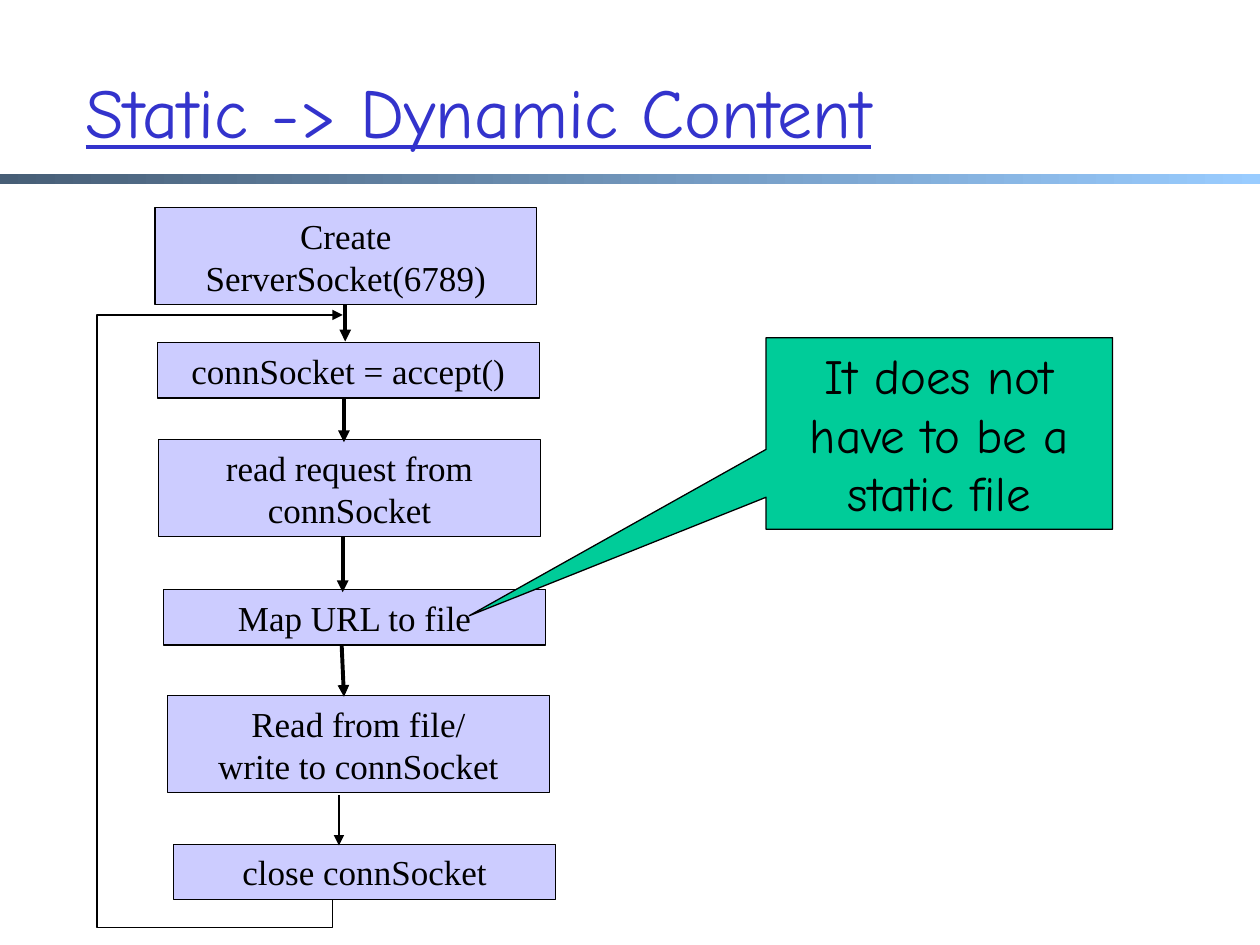
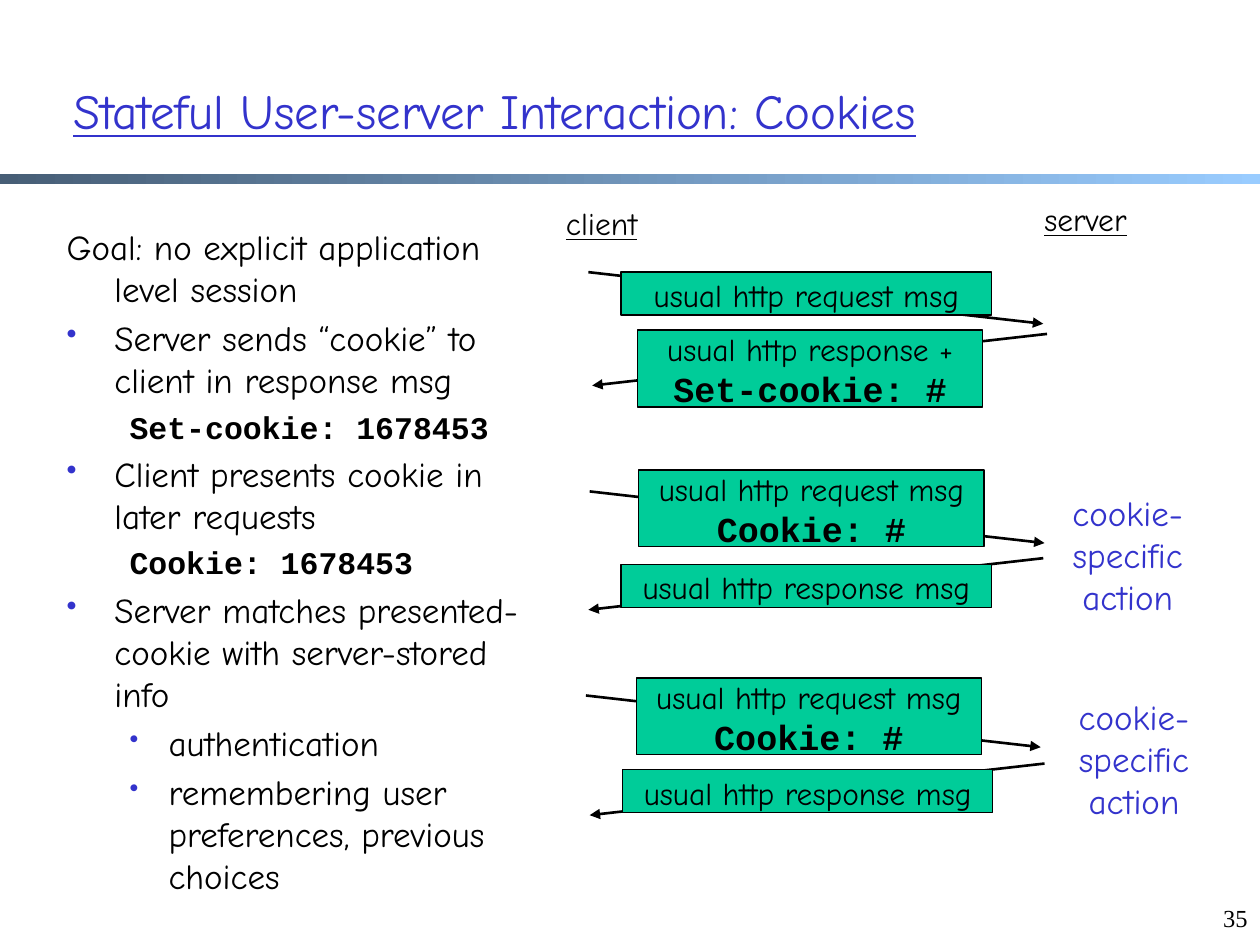
import pptx
import pptx.dml.color
import pptx.enum.shapes
import pptx.enum.text
import pptx.oxml
import pptx.oxml.ns
import pptx.util

SHAPE = pptx.enum.shapes.MSO_SHAPE
ALIGN = pptx.enum.text.PP_ALIGN
MID = pptx.enum.text.MSO_ANCHOR.MIDDLE
TOP = pptx.enum.text.MSO_ANCHOR.TOP
FIT = pptx.enum.text.MSO_AUTO_SIZE.SHAPE_TO_FIT_TEXT
INK, BLUE, LILAC, GREEN = "000000", "3333CC", "CCCCFF", "00CC99"
COMIC, MONO, SERIF = "Comic Neue", "Courier New", "Times New Roman"
COLS, ROWS = 100, 75
WIDTH, HEIGHT = pptx.util.Inches(10), pptx.util.Inches(7.5)


def rgb(code):
    return pptx.dml.color.RGBColor.from_string(code)


def cells(*nums):
    return [pptx.util.Emu(round(n * WIDTH / COLS)) for n in nums]


def add_xml(node, tag, **attrs):
    child = pptx.oxml.parse_xml(f'<a:{tag} {pptx.oxml.ns.nsdecls("a")}/>')
    for name, value in attrs.items():
        child.set(name, str(value))
    node.append(child)
    return child


def write(frame, lines, size=18, font=COMIC, color=INK, bold=False, under=False,
          align=ALIGN.CENTER, anchor=TOP, wrap=True):
    frame.word_wrap = wrap
    frame.vertical_anchor = anchor
    for i, line in enumerate(lines):
        para = frame.paragraphs[0] if i == 0 else frame.add_paragraph()
        words, own = line if isinstance(line, tuple) else (line, {})
        para.text = words
        para.alignment = align
        for run in para.runs:
            run.font.size = pptx.util.Pt(own.get("size", size))
            run.font.name = own.get("font", font)
            run.font.bold = own.get("bold", bold)
            run.font.underline = under
            run.font.color.rgb = rgb(color)


def label(slide, at, lines, fit=False, **form):
    area = slide.shapes.add_textbox(*cells(*at))
    write(area.text_frame, lines, **form)
    if fit:
        area.text_frame.auto_size = FIT
    return area


def box(slide, at, fill, kind=SHAPE.RECTANGLE):
    shape = slide.shapes.add_shape(kind, *cells(*at))
    shape.shadow.inherit = False
    shape.fill.solid()
    shape.fill.fore_color.rgb = rgb(fill)
    shape.line.color.rgb = rgb(INK)
    shape.line.width = pptx.util.Pt(0.75)
    return shape


def tip(shape, width):
    shape.line.color.rgb = rgb(INK)
    shape.line.width = pptx.util.Pt(width)
    line = shape.element.spPr.find(pptx.oxml.ns.qn("a:ln"))
    add_xml(line, "tailEnd", type="triangle")


def arrow(slide, start, end, width):
    link = slide.shapes.add_connector(
        pptx.enum.shapes.MSO_CONNECTOR.STRAIGHT, *cells(*start, *end))
    tip(link, width)
    add_xml(link.element.spPr, "effectLst")


def loop(slide, points):
    first, *rest = [cells(*p) for p in points]
    build = slide.shapes.build_freeform(*first)
    build.add_line_segments(rest, close=False)
    path = build.convert_to_shape()
    path.shadow.inherit = False
    path.fill.background()
    tip(path, 0.75)


def page(deck, title, left, size):
    slide = deck.slides.add_slide(deck.slide_layouts[5])
    band = slide.shapes.add_shape(SHAPE.RECTANGLE, *cells(0, 13.8, COLS, 0.8))
    band.shadow.inherit = False
    band.line.fill.background()
    band.fill.gradient()
    band.fill.gradient_angle = 0
    for stop, code in zip(band.fill.gradient_stops, ("475E76", "99CCFF")):
        stop.color.rgb = rgb(code)
    head = slide.shapes.title
    head.left, head.top, head.width, head.height = cells(left, 2.5, 85, 12.5)
    write(head.text_frame, [title], size=size, color=BLUE, under=True,
          align=ALIGN.LEFT, anchor=MID)
    return slide


def outline(slide, at, items):
    area = label(slide, at, [(words, form) for words, form, _, _ in items],
                 size=20, align=ALIGN.LEFT)
    for para, (_, _, level, mark) in zip(area.text_frame.paragraphs, items):
        para.space_before = pptx.util.Pt(4)
        para.level = level
        margin, hang, share = ((3.8, 3.8, 85), (8.1, 3.1, 75))[level]
        props = para._p.get_or_add_pPr()
        props.set("marL", str(cells(margin)[0]))
        props.set("indent", str(-cells(hang)[0]))
        if mark:
            add_xml(add_xml(props, "buClr"), "srgbClr", val=BLUE)
            add_xml(props, "buSzPct", val=share * 1000)
            add_xml(props, "buChar", char="\u2022")
        else:
            add_xml(props, "buNone")


def message(slide, left, top, words, code=None):
    wide, tall, lift = (27.4, 6.1, 0.5) if code else (29.4, 3.4, 0.2)
    box(slide, (left, top, wide, tall), GREEN)
    lines = [words]
    if code:
        lines.append((code, dict(size=20, font=MONO, bold=True)))
    span = 29.8
    label(slide, (left + (wide - span) / 2, top - lift, span, tall + 2 * lift), lines)


def flow(deck):
    slide = page(deck, "Static -> Dynamic Content", 5.8, 40)
    one, two = 4.4, 7.7
    steps = [
        ("Create ServerSocket(6789)", 12.3, 16.5, two, None),
        ("connSocket = accept()", 12.5, 27.2, one, (27.4, 22.8, 27.4, 27.1, 2.25)),
        ("read request from connSocket", 12.6, 34.9, two, (27.3, 31.3, 27.3, 35.1, 2.25)),
        ("Map URL to file", 13, 46.8, one, (27.2, 41.8, 27.2, 47, 2.25)),
        ("Read from file/\nwrite to connSocket", 13.3, 55.2, two,
         (27.1, 50.8, 27.3, 55.3, 2.25)),
        ("close connSocket", 13.8, 67, one, (26.9, 63.1, 26.9, 67.1, 1.5)),
    ]
    for words, left, top, tall, link in reversed(steps):
        shape = box(slide, (left, top, 30.3, tall), LILAC)
        write(shape.text_frame, [words], size=20, font=SERIF, anchor=MID)
        if link:
            arrow(slide, link[:2], link[2:4], link[4])
    loop(slide, [(26.4, 71.4), (26.4, 73.6), (7.7, 73.6), (7.7, 25), (27.2, 25)])
    note = box(slide, (60.8, 26.8, 27.5, 15.2), GREEN, SHAPE.RECTANGULAR_CALLOUT)
    note.adjustments[0], note.adjustments[1] = -1.357, 0.952
    write(note.text_frame, ["It does not have to be a static file"], size=28, anchor=MID)


def cookies(deck):
    slide = page(deck, "Stateful User-server Interaction: Cookies", 4.8, 28)
    label(slide, (95, 71.2, 5, 5), ["35"], size=14, font=SERIF, align=ALIGN.RIGHT)
    code = dict(size=18, font=MONO, bold=True)
    outline(slide, (4.3, 17.4, 39.4, 47.1), [
        ("Goal: no explicit application level session", {}, 0, False),
        ("Server sends \u201ccookie\u201d to client in response msg", {}, 0, True),
        ("Set-cookie: 1678453", code, 1, False),
        ("Client presents cookie in later requests", {}, 0, True),
        ("Cookie: 1678453", code, 1, False),
        ("Server matches presented-cookie with server-stored info", {}, 0, True),
        ("authentication", {}, 1, True),
        ("remembering user preferences, previous choices", {}, 1, True),
    ])
    for words, left, top, wide in (("client", 42.4, 15.7, 10.7),
                                   ("server", 80.1, 15.4, 12.1)):
        label(slide, (left, top, wide, 5), [words], fit=True, under=True, wrap=False)
    ask, reply = "usual http request msg", "usual http response msg"
    trips = [
        (46.7, 21.6, 1, (49.3, 21.6, ask)),
        (83.1, 26.5, -1, (50.6, 26.2, "usual http response +", "Set-cookie: #")),
        (46.8, 39, 1, (50.7, 37.3, ask, "Cookie: #")),
        (82.8, 44.3, -1, (49.3, 44.8, reply)),
        (46.5, 55.2, 1, (50.5, 53.8, ask, "Cookie: #")),
        (82.9, 60.6, -1, (49.4, 61.1, reply)),
    ]
    for x, y, way, note in trips:
        arrow(slide, (x, y), (x + 36.1 * way, y + 4.1), 1.5)
        message(slide, *note)
    for left, top in ((83.4, 38.5), (83.9, 54.7)):
        label(slide, (left, top, 12.2, 11), ["cookie-", "specific", "action"],
              fit=True, size=20, color=BLUE, wrap=False)


def main():
    deck = pptx.Presentation()
    deck.slide_width, deck.slide_height = WIDTH, HEIGHT
    flow(deck)
    cookies(deck)
    deck.save("out.pptx")


main()
